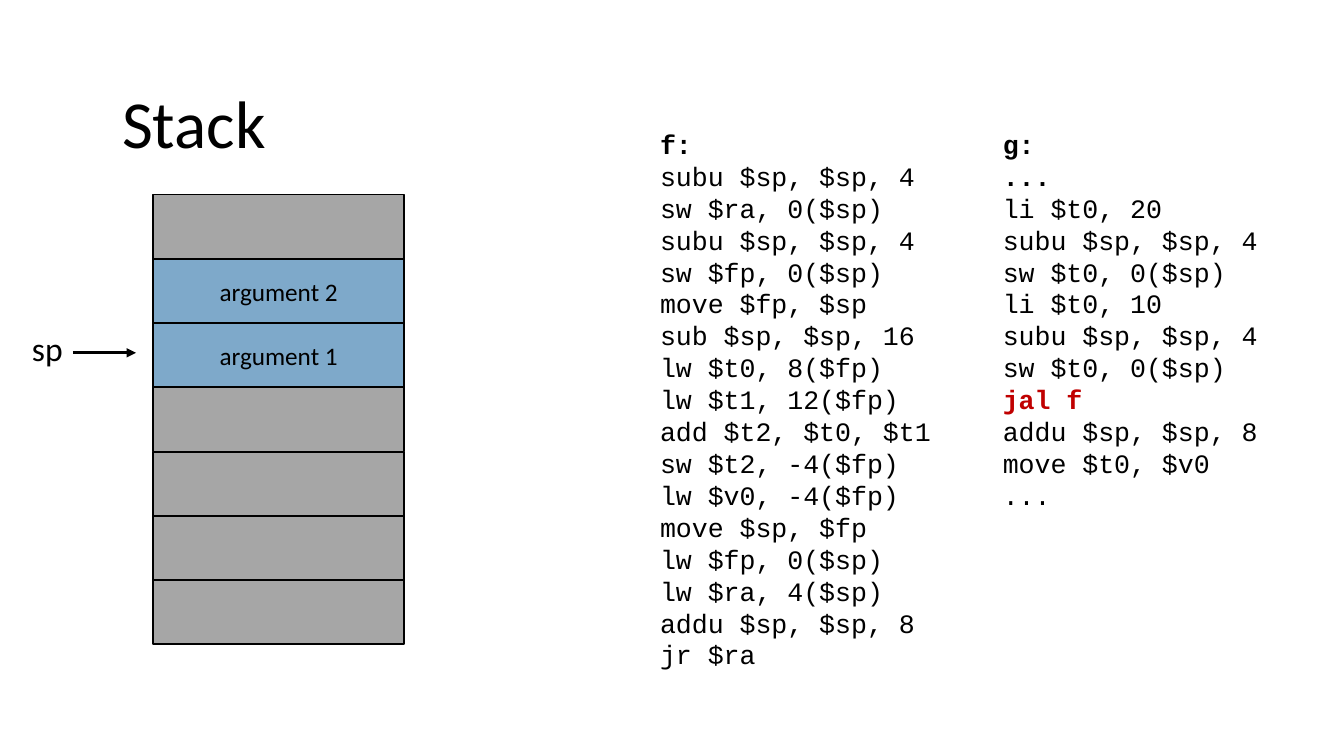
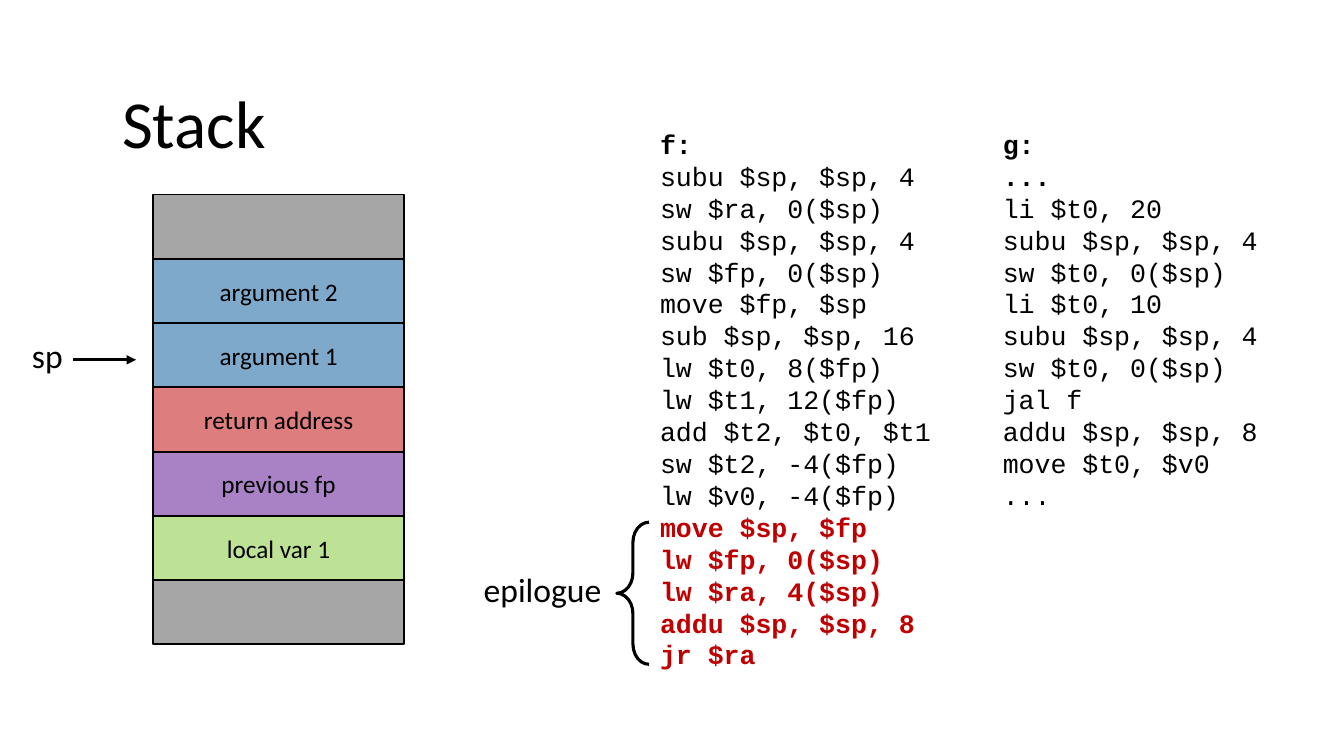
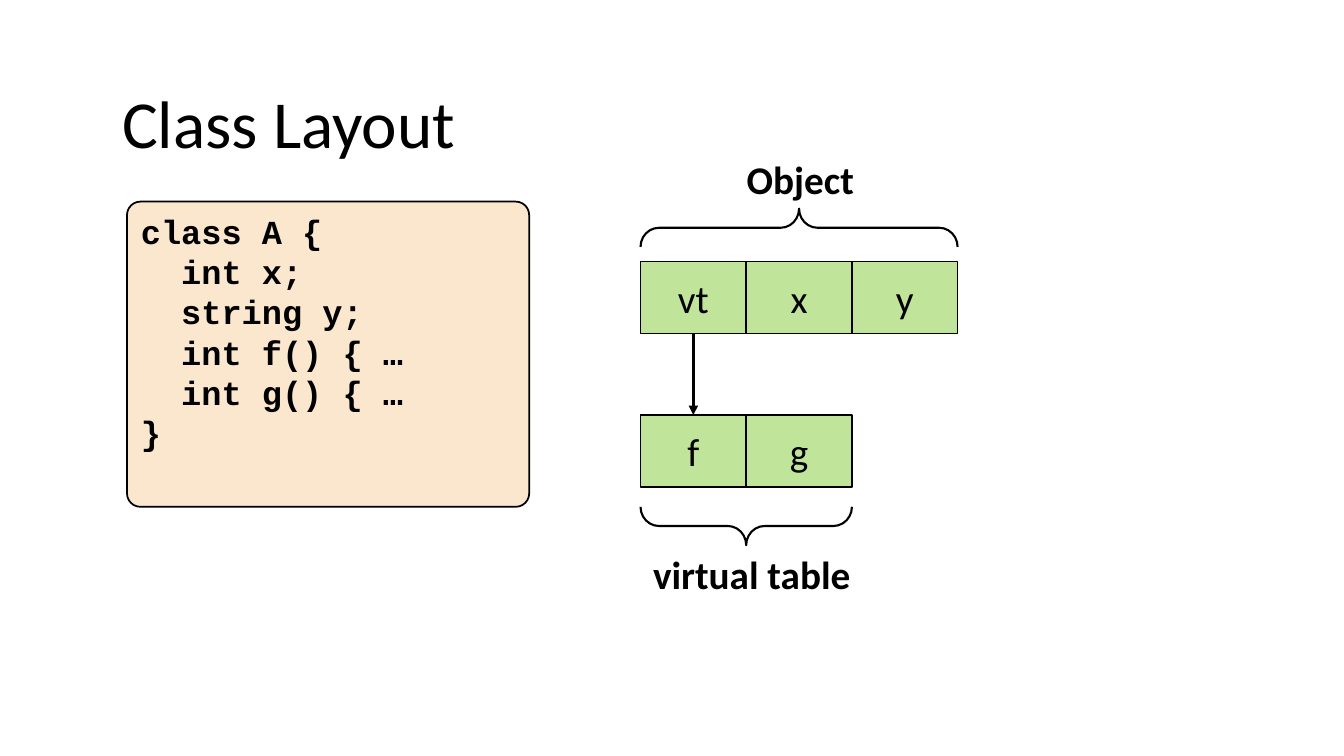
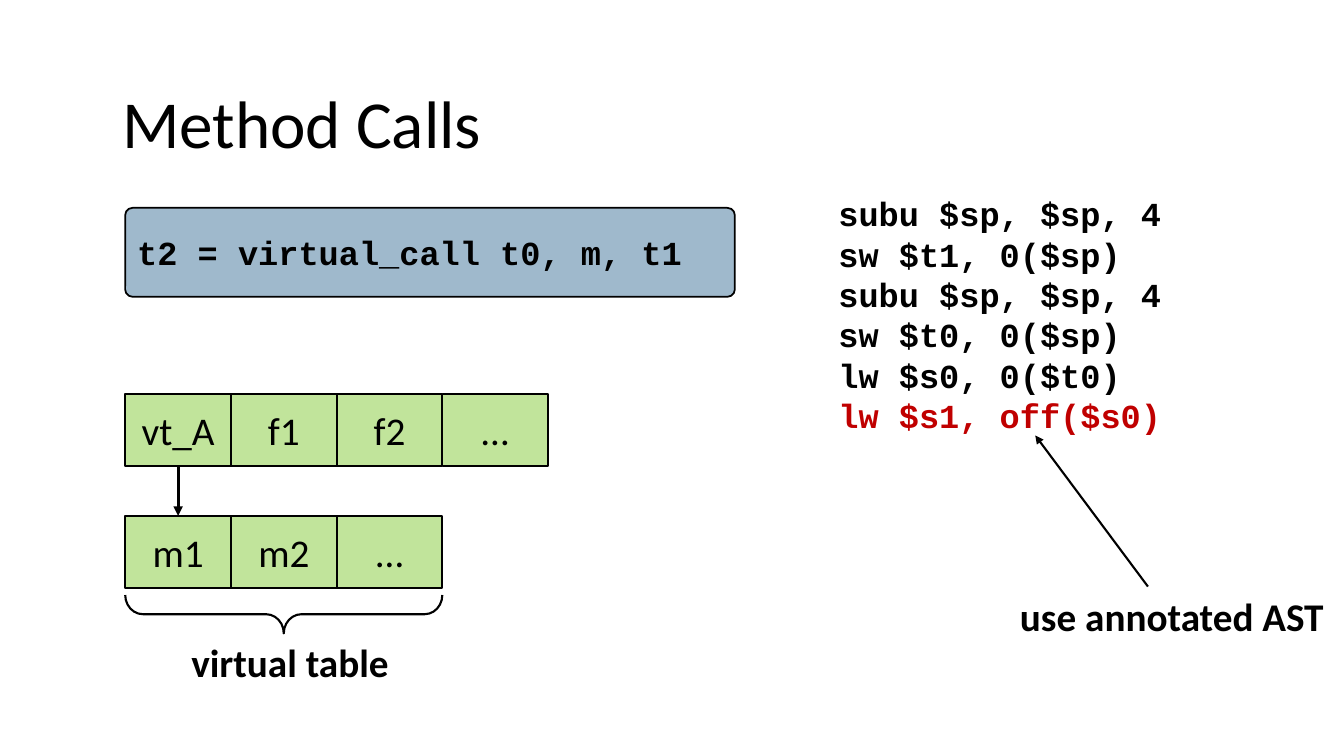
from lxml.etree import SubElement
from pptx import Presentation
from pptx.dml.color import RGBColor
from pptx.enum.shapes import MSO_CONNECTOR, MSO_SHAPE
from pptx.enum.text import MSO_ANCHOR, PP_ALIGN
from pptx.oxml.ns import qn
from pptx.util import Pt

COLORS = {
    "black": "000000",
    "red": "C00000",
    "gray": "A6A6A6",
    "blue": "7EA9CA",
    "purple": "7030A0",
    "green": "92D050",
    "peach": "FBE6CE",
    "steel": "40749B",
}
TEXT_FONT = "Calibri"
CODE_FONT = "Courier New"

CODE_F = [
    "f:", "subu $sp, $sp, 4", "sw $ra, 0($sp)", "subu $sp, $sp, 4",
    "sw $fp, 0($sp)", "move $fp, $sp", "sub $sp, $sp, 16", "lw $t0, 8($fp)",
    "lw $t1, 12($fp)", "add $t2, $t0, $t1", "sw $t2, -4($fp)",
    "lw $v0, -4($fp)", "move $sp, $fp", "lw $fp, 0($sp)", "lw $ra, 4($sp)",
    "addu $sp, $sp, 8", "jr $ra",
]
CODE_G = [
    "g:", "...", "li $t0, 20", "subu $sp, $sp, 4", "sw $t0, 0($sp)",
    "li $t0, 10", "subu $sp, $sp, 4", "sw $t0, 0($sp)", "jal f",
    "addu $sp, $sp, 8", "move $t0, $v0", "...",
]
CLASS_CODE = ["class A {", "  int x;", "  string y;", "  int f() { …",
              "  int g() { …", "}"]
CALL_CODE = ["subu $sp, $sp, 4", "sw $t1, 0($sp)", "subu $sp, $sp, 4",
             "sw $t0, 0($sp)", "lw $s0, 0($t0)", "lw $s1, off($s0)"]

CELL_WIDTH, CELL_HEIGHT = 75.5, 51.5
BRACE_DEPTH = 27.4


# Text
def rgb(name):
    return RGBColor.from_string(COLORS[name])


def add_run(paragraph, text, size, font=TEXT_FONT, color="black", bold=False):
    run = paragraph.add_run()
    run.text = text
    run.font.name = font
    run.font.size = Pt(size)
    run.font.bold = bold
    run.font.color.rgb = rgb(color)


def write_code(frame, lines, size, bold_rows, red_rows=()):
    for row, line in enumerate(lines):
        paragraph = frame.add_paragraph() if row else frame.paragraphs[0]
        paragraph.alignment = PP_ALIGN.LEFT
        is_red = row in red_rows
        add_run(paragraph, line, size, CODE_FONT, "red" if is_red else "black",
                is_red or row in bold_rows)


def add_text_box(slide, left, top, width, height):
    box = slide.shapes.add_textbox(Pt(left), Pt(top), Pt(width), Pt(height))
    box.text_frame.word_wrap = True
    return box.text_frame


def add_label(slide, text, left, top, width, size=28, bold=True):
    frame = add_text_box(slide, left, top, width, size * 1.2 + 7.2)
    add_run(frame.paragraphs[0], text, size, bold=bold)


def add_titled_slide(presentation, text):
    slide = presentation.slides.add_slide(presentation.slide_layouts[5])
    title = slide.shapes.title
    title.left, title.top, title.width, title.height = Pt(80), Pt(54.7), Pt(798), Pt(65.5)
    title.text_frame.vertical_anchor = MSO_ANCHOR.TOP
    paragraph = title.text_frame.paragraphs[0]
    paragraph.alignment = PP_ALIGN.LEFT
    add_run(paragraph, text, 48)
    return slide


# Shapes
def add_panel(slide, kind, left, top, width, height, fill, opacity=100):
    shape = slide.shapes.add_shape(kind, Pt(left), Pt(top), Pt(width), Pt(height))
    shape.shadow.inherit = False
    shape.fill.solid()
    shape.fill.fore_color.rgb = rgb(fill)
    if opacity < 100:
        color = shape.fill._xPr.find(qn("a:solidFill"))[0]
        SubElement(color, qn("a:alpha")).set("val", str(opacity * 1000))
    shape.line.color.rgb = rgb("black")
    shape.line.width = Pt(1.25)
    shape.text_frame.vertical_anchor = MSO_ANCHOR.MIDDLE
    return shape


def add_cell(slide, text, size, *panel):
    cell = add_panel(slide, MSO_SHAPE.RECTANGLE, *panel)
    if text:
        paragraph = cell.text_frame.paragraphs[0]
        paragraph.alignment = PP_ALIGN.CENTER
        add_run(paragraph, text, size)
    return cell


def add_code_panel(slide, lines, corner, anchor, *panel):
    shape = add_panel(slide, MSO_SHAPE.ROUNDED_RECTANGLE, *panel)
    shape.adjustments[0] = corner
    shape.text_frame.vertical_anchor = anchor
    write_code(shape.text_frame, lines, 24, range(len(lines)))


def add_cell_row(slide, names, left, top):
    return [add_cell(slide, name, 28, left + column * CELL_WIDTH, top,
                     CELL_WIDTH, CELL_HEIGHT, "green", 57)
            for column, name in enumerate(names)]


def add_brace(slide, left, top, width, height, curve, line_width=1.5, rotation=0):
    """Place a brace so that its box, once rotated, is the one given."""
    if rotation:
        left, top = left + (width - height) / 2, top + (height - width) / 2
        width, height = height, width
    brace = slide.shapes.add_shape(MSO_SHAPE.LEFT_BRACE, Pt(left), Pt(top),
                                   Pt(width), Pt(height))
    brace.shadow.inherit = False
    brace.rotation = rotation
    brace.adjustments[0] = curve
    brace.fill.background()
    brace.line.color.rgb = rgb("black")
    brace.line.width = Pt(line_width)


def add_arrow(slide, start=(0, 0), end=(0, 0), line_width=2.25):
    arrow = slide.shapes.add_connector(MSO_CONNECTOR.STRAIGHT,
                                       *(Pt(value) for value in (*start, *end)))
    arrow.line.color.rgb = rgb("black")
    arrow.line.width = Pt(line_width)
    SubElement(arrow.line._get_or_add_ln(), qn("a:tailEnd")).set("type", "triangle")
    SubElement(arrow._element.spPr, qn("a:effectLst"))
    return arrow


def join_cells(slide, upper, lower):
    arrow = add_arrow(slide)
    arrow.begin_connect(upper, 2)
    arrow.end_connect(lower, 0)


# Slides
def add_stack_slide(presentation, cells, pointer_y, red_f=(), red_g=()):
    slide = add_titled_slide(presentation, "Stack")
    write_code(add_text_box(slide, 464.4, 87.8, 234, 399), CODE_F, 19, {0}, red_f)
    write_code(add_text_box(slide, 709.2, 87.8, 234, 284), CODE_G, 19, {0, 1}, red_g)
    cell_height = 45.9
    for row, (text, *fill) in enumerate(cells):
        add_cell(slide, text, 18, 109.5, 139 + row * cell_height, 179,
                 cell_height, *fill)
    add_label(slide, "sp", 15.8, pointer_y - 21, 41, 24, False)
    add_arrow(slide, (52, pointer_y), (97.2, pointer_y))
    return slide


def add_class_layout_slide(presentation):
    slide = add_titled_slide(presentation, "Class Layout")
    add_code_panel(slide, CLASS_CODE, 0.044, MSO_ANCHOR.TOP,
                   90.7, 144, 287.3, 218, "peach")
    left = 457.5
    fields = add_cell_row(slide, ["vt", "x", "y"], left, 186.8)
    methods = add_cell_row(slide, ["f", "g"], left, 296.5)
    join_cells(slide, fields[0], methods[0])
    add_brace(slide, left, 149, 3 * CELL_WIDTH, BRACE_DEPTH, 0.48, rotation=90)
    add_label(slide, "Object", 526.3, 107.3, 201)
    add_brace(slide, left, 362, 2 * CELL_WIDTH, BRACE_DEPTH, 0.48, rotation=270)
    add_label(slide, "virtual table", 459.4, 389.5, 201)


def add_method_calls_slide(presentation):
    slide = add_titled_slide(presentation, "Method Calls")
    add_code_panel(slide, ["t2 = virtual_call t0, m, t1"], 0.083,
                   MSO_ANCHOR.MIDDLE, 89.4, 148.5, 435.5, 63.5, "steel", 50)
    left = 89.5
    fields = add_cell_row(slide, ["vt_A", "f1", "f2", "…"], left, 281.4)
    methods = add_cell_row(slide, ["m1", "m2", "…"], left, 368.5)
    join_cells(slide, fields[0], methods[0])
    add_brace(slide, left, 425, 3 * CELL_WIDTH, BRACE_DEPTH, 0.46, rotation=270)
    add_label(slide, "virtual table", 129.6, 452.3, 206)
    write_code(add_text_box(slide, 591.8, 134.6, 310, 181.4), CALL_CODE, 24,
               range(len(CALL_CODE)), {5})
    add_arrow(slide, (820, 419), (739.5, 311), 1.5)
    add_label(slide, "use annotated AST", 721.5, 419.8, 238)


def main():
    presentation = Presentation()
    presentation.slide_width, presentation.slide_height = Pt(960), Pt(540)

    empty = ("", "gray")
    arguments = [("argument 2", "blue"), ("argument 1", "blue")]
    frame_cells = [("return address", "red", 51), ("previous fp", "purple", 60),
                   ("local var 1", "green", 60)]
    add_stack_slide(presentation, [empty, *arguments, *[empty] * 4], 252, red_g={8})
    slide = add_stack_slide(presentation, [empty, *arguments, *frame_cells, empty],
                            257, red_f=range(12, 17))
    add_brace(slide, 440.6, 373, 23, 101.5, 0.63, 2.25)
    add_label(slide, "epilogue", 338.4, 402.5, 120, 24, False)

    add_class_layout_slide(presentation)
    add_method_calls_slide(presentation)
    presentation.save("out.pptx")


if __name__ == "__main__":
    main()
